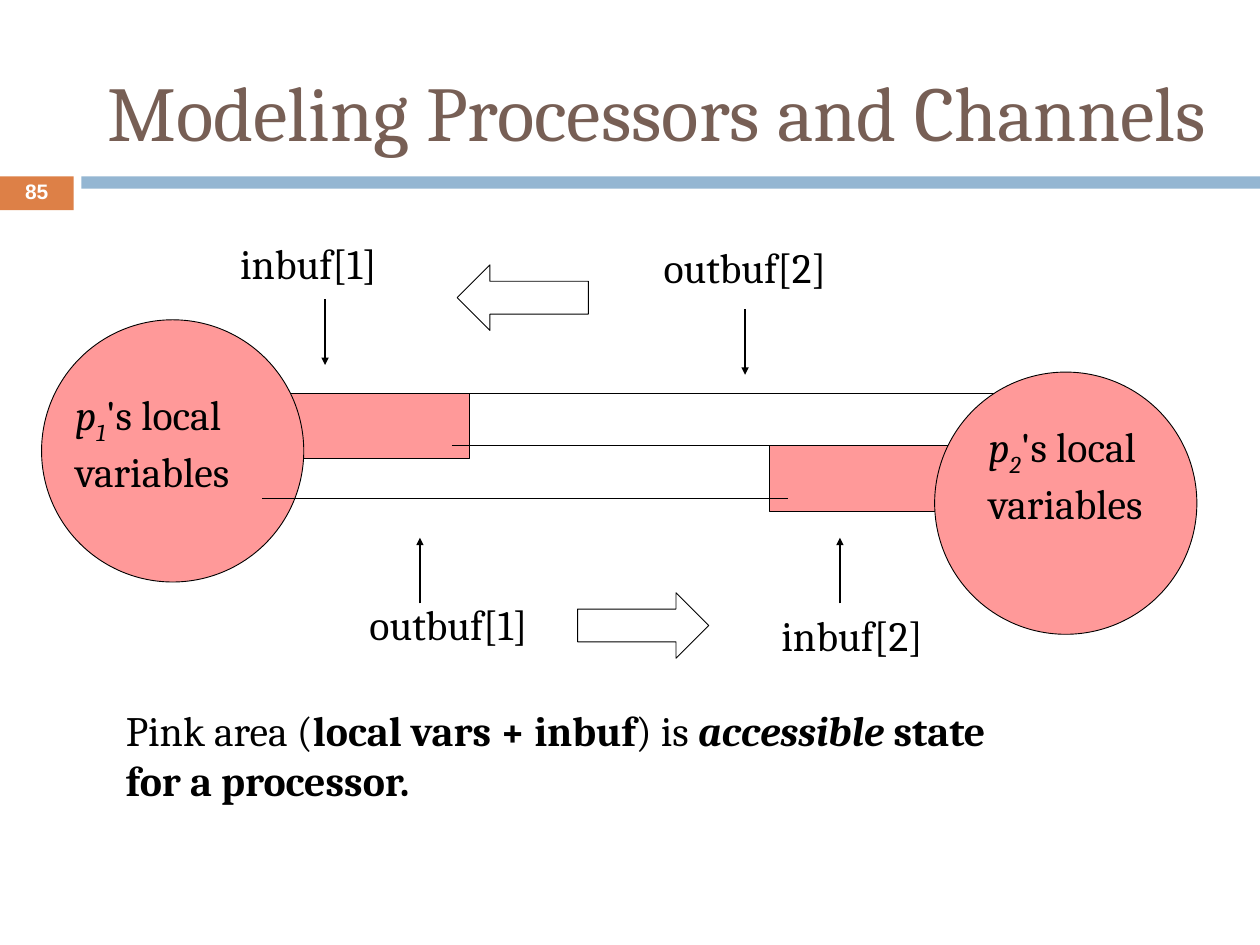
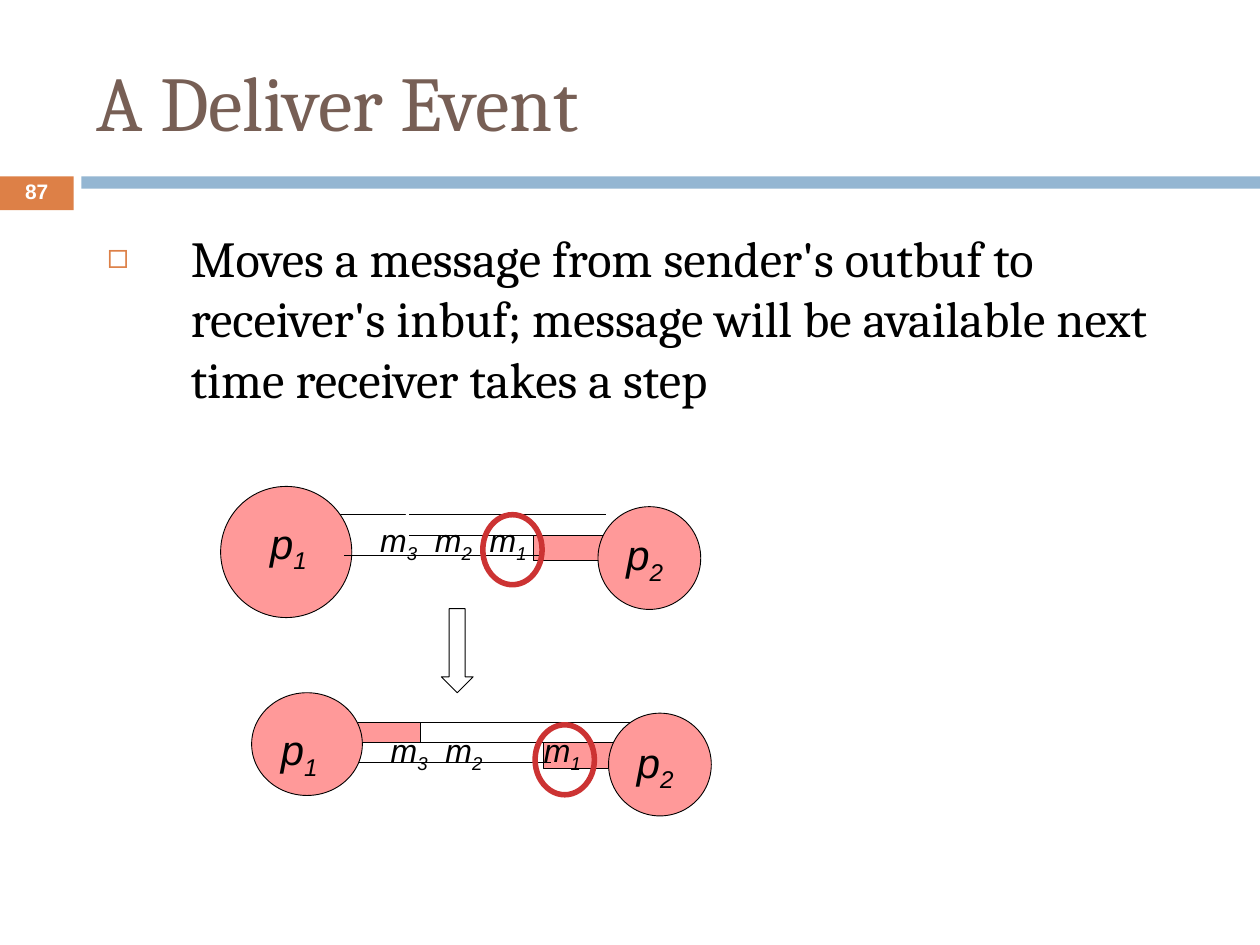
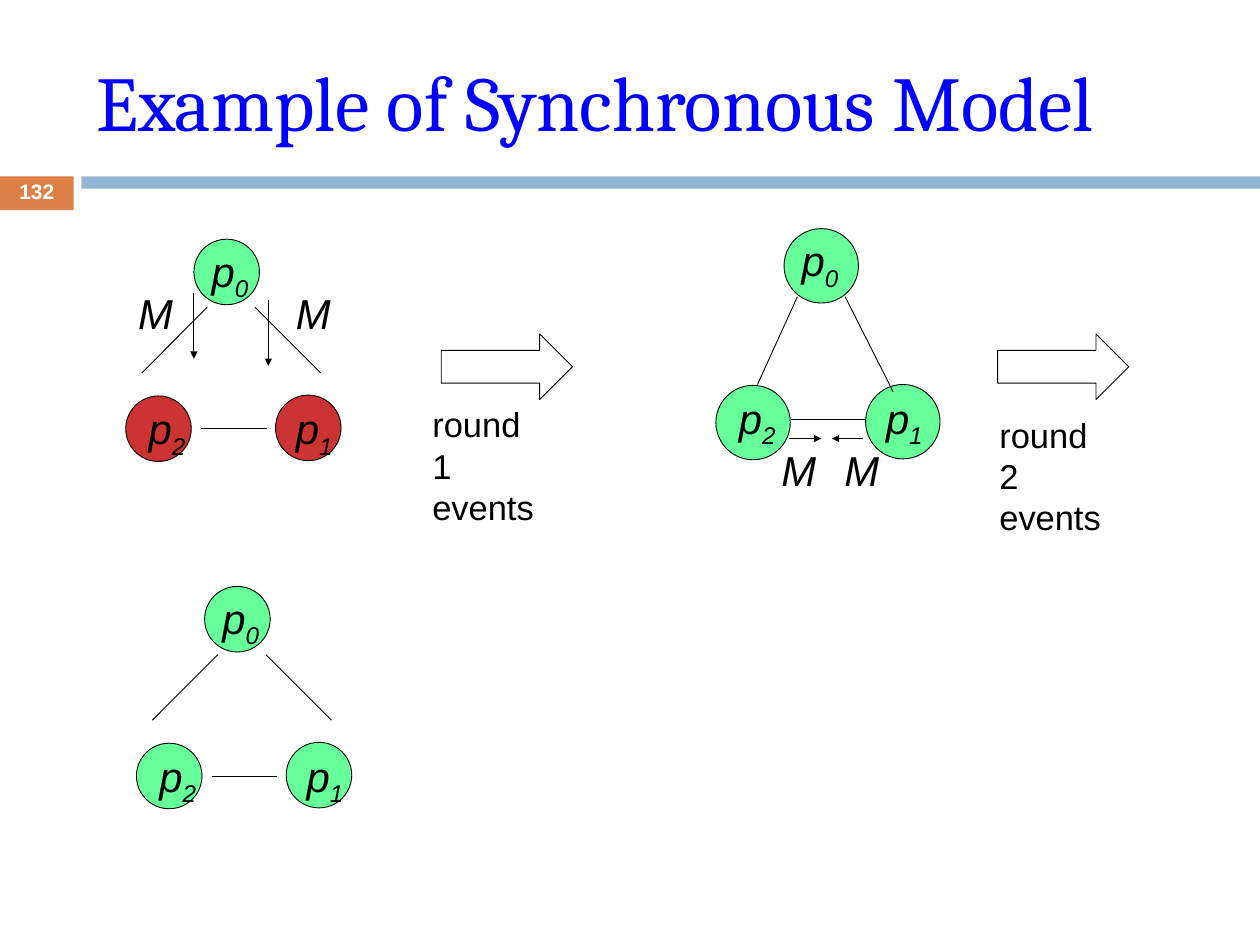
"""Builds three slides on message-passing models: channels, deliver events and rounds."""
from dataclasses import dataclass

from lxml.etree import SubElement
from pptx import Presentation
from pptx.dml.color import RGBColor
from pptx.enum.shapes import MSO_CONNECTOR, MSO_SHAPE
from pptx.enum.text import MSO_ANCHOR, MSO_AUTO_SIZE, PP_ALIGN
from pptx.oxml.ns import qn
from pptx.util import Pt


@dataclass(frozen=True)
class Theme:
    brown: str = "775F55"
    blue: str = "0000FF"
    orange: str = "DD8047"
    band: str = "94B6D2"
    pink: str = "FF9999"
    green: str = "66FF99"
    red: str = "CC3333"
    black: str = "000000"
    white: str = "FFFFFF"
    serif: str = "Cambria"
    sans: str = "Arial"
    title_size: float = 63
    body_size: float = 41
    label_size: float = 34
    round_size: float = 28
    message_size: float = 26
    number_size: float = 17
    thin: float = 0.75
    arrow: float = 2
    ring: float = 4.5


THEME = Theme()
SLIDE_SIZE = (1024, 768)
INSETS = (10.08, 5.04)
LABEL_SIZE = (53.3, 53.3)
BUFFER_LABEL_SIZE = (160, 53.3)
BLOCK_ARROW_SIZE = (106.6, 53.3)
RING_SIZE = (48.2, 56.9)
TITLE_BOX = (68.4, 25.9, 913, 110.9)
WIDE_TITLE_BOX = (77, 25.9, 921.6, 128.2)
LAYOUT_TITLE_AND_BODY, LAYOUT_TITLE_ONLY = 1, 5

PROCESSOR_CHANNEL = {
    "left_buffer": (221.8, 319.7, 159.8, 53.3),
    "left_processor": (33.8, 259.9, 213.1, 213.1),
    "upper_lines": [(367.2, 319.7, 846.7, 319.7), (367.2, 362.2, 846.7, 362.2)],
    "right_buffer": (625, 362.2, 159.8, 53.3),
    "right_processor": (759.6, 302.4, 213.1, 213.1),
    "lower_line": (640.1, 405.4, 213.1, 405.4),
}
BUFFER_LABELS = [
    ("inbuf[1]", (185, 187.9)),
    ("outbuf[1]", (290.2, 481.7)),
    ("inbuf[2]", (625, 490.3)),
    ("outbuf[2]", (529.2, 191.5)),
]
BUFFER_POINTERS = [
    (264.2, 243.4, 264.2, 296.6),
    (341.3, 490.3, 341.3, 437),
    (682.6, 490.3, 682.6, 437),
    (605.5, 251.3, 605.5, 304.6),
]
LOCAL_VARIABLES = [("1", (51.1, 311)), ("2", (793.4, 337))]
SUMMARY = [
    [("Pink area (", ""), ("local vars + inbuf", "b"), (") is ", ""),
     ("accessible", "bi"), (" state", "b")],
    [("for a processor.", "b")],
]

DELIVER_TEXT = ("Moves a message from sender's outbuf to receiver's inbuf; "
                "message will be available next time receiver takes a step")
DELIVER_STATES = [
    {
        "channel": {
            "left_buffer": (276.5, 418.3, 53.3, 0),
            "left_processor": (179.3, 395.3, 106.6, 106.6),
            "upper_lines": [(332.6, 418.3, 492.5, 418.3), (332.6, 434.9, 492.5, 434.9)],
            "right_buffer": (433.4, 434.9, 62.6, 20.9),
            "right_processor": (486, 411.8, 83.5, 83.5),
            "lower_line": (439.2, 451.4, 279.4, 451.4),
        },
        "names": [("1", (209.5, 415.4)), ("2", (499, 424.8))],
        "messages": (298.8, 418.3),
        "tabs": (44.5, 89),
        "ring": (392.4, 418.3),
    },
    {
        "channel": {
            "left_buffer": (285.1, 586.8, 56.9, 16.6),
            "left_processor": (204.5, 563, 90, 83.5),
            "upper_lines": [(341.3, 586.8, 524.9, 586.8), (341.3, 603.4, 524.9, 603.4)],
            "right_buffer": (442.1, 603.4, 62.6, 20.9),
            "right_processor": (494.6, 579.6, 83.5, 83.5),
            "lower_line": (447.8, 619.9, 291.6, 619.9),
        },
        "names": [("1", (218.2, 583.2)), ("2", (507.6, 593.3))],
        "messages": (307.4, 589),
        "tabs": (44.5, 124.5),
        "ring": (434.9, 589),
    },
]

NODES = [
    ("1", (121.7, 126.7), (6.5, 1.4)),
    ("0", (55.4, 0), (4.3, 0)),
    ("2", (0, 127.4), (8.6, 0.7)),
]
OPEN_EDGES = [(66.2, 55.4, 13, 108.7), (105.1, 55.4, 158.4, 108.7),
              (61.2, 154.1, 114.5, 154.1)]
JOINED_EDGES = [(66.2, 55.4, 33.8, 126.7), (105.1, 55.4, 144, 132.5),
                (61.2, 154.8, 121.7, 154.8)]
NETWORKS = [
    {"origin": (581.8, 185.8), "diameter": 60.5, "lower": THEME.green,
     "edges": JOINED_EDGES,
     "sends": [(59.8, 170.6, 85.7, 170.6), (119.5, 170.6, 94.3, 170.6)],
     "payloads": [(94.3, 170.6), (43.2, 170.6)]},
    {"origin": (102.2, 194.4), "diameter": 53.3, "lower": THEME.red,
     "edges": OPEN_EDGES,
     "sends": [(55.4, 43.9, 55.4, 97.2), (115.9, 49.7, 115.9, 103)],
     "payloads": [(0, 34.6), (128.2, 34.6)]},
    {"origin": (110.9, 476.6), "diameter": 53.3, "lower": THEME.green,
     "edges": OPEN_EDGES, "sends": [], "payloads": []},
]
ROUNDS = [("1", (358.6, 271.4), (341.3, 322.6)), ("2", (810.7, 271.4), (802.1, 331.2))]


def points(values):
    return [Pt(value) for value in values]


def shifted(origin, numbers):
    return tuple(number + origin[index % 2] for index, number in enumerate(numbers))


def add_figure(slide, kind, box, fill=None, line=None, weight=THEME.thin):
    shape = slide.shapes.add_shape(kind, *points(box))
    shape.shadow.inherit = False
    if fill:
        shape.fill.solid()
        shape.fill.fore_color.rgb = RGBColor.from_string(fill)
    else:
        shape.fill.background()
    if line:
        shape.line.color.rgb = RGBColor.from_string(line)
        shape.line.width = Pt(weight)
    else:
        shape.line.fill.background()
    return shape


def add_line(slide, ends, weight=THEME.thin, arrow=False):
    connector = slide.shapes.add_connector(MSO_CONNECTOR.STRAIGHT, *points(ends))
    connector.line.color.rgb = RGBColor.from_string(THEME.black)
    connector.line.width = Pt(weight)
    if arrow:
        SubElement(connector.line._get_or_add_ln(), qn("a:tailEnd"), type="triangle")
    SubElement(connector._element.spPr, qn("a:effectLst"))


def write_paragraphs(frame, paragraphs, size, face, color=THEME.black, tabs=()):
    frame.word_wrap = True
    frame.auto_size = MSO_AUTO_SIZE.NONE
    frame.margin_left = frame.margin_right = Pt(INSETS[0])
    frame.margin_top = frame.margin_bottom = Pt(INSETS[1])
    for index, runs in enumerate(paragraphs):
        para = frame.add_paragraph() if index else frame.paragraphs[0]
        para.alignment = PP_ALIGN.LEFT
        if tabs:
            tab_list = SubElement(para._p.get_or_add_pPr(), qn("a:tabLst"))
            for tab in tabs:
                SubElement(tab_list, qn("a:tab"), pos=str(int(Pt(tab))), algn="l")
        for text, style in runs:
            span = para.add_run()
            span.text = text
            span.font.name = face
            span.font.size = Pt(size)
            span.font.bold = "b" in style
            span.font.italic = "i" in style
            span.font.color.rgb = RGBColor.from_string(color)
            if "s" in style:
                span.font._element.set("baseline", "-25000")


def add_label(slide, place, extent, paragraphs, size=THEME.label_size,
              face=THEME.sans, tabs=()):
    box = slide.shapes.add_textbox(*points(place + extent))
    write_paragraphs(box.text_frame, paragraphs, size, face, tabs=tabs)


def indexed(letter, index):
    return [(letter, "i"), (index, "is")]


def add_page(deck, title, number, title_box=TITLE_BOX, color=THEME.brown,
             layout=LAYOUT_TITLE_ONLY):
    slide = deck.slides.add_slide(deck.slide_layouts[layout])
    add_figure(slide, MSO_SHAPE.RECTANGLE, (66.2, 143.3, 957.8, 10.1), THEME.band)
    badge = add_figure(slide, MSO_SHAPE.RECTANGLE, (0, 143.3, 59.8, 27.4), THEME.orange)
    write_paragraphs(badge.text_frame, [[(number, "b")]], THEME.number_size,
                     THEME.sans, THEME.white)
    badge.text_frame.vertical_anchor = MSO_ANCHOR.MIDDLE
    badge.text_frame.paragraphs[0].alignment = PP_ALIGN.CENTER
    badge.text_frame.paragraphs[0].line_spacing = 0.8
    heading = slide.shapes.title
    place_placeholder(heading, title_box)
    write_paragraphs(heading.text_frame, [[(title, "")]], THEME.title_size,
                     THEME.serif, color)
    heading.text_frame.vertical_anchor = MSO_ANCHOR.MIDDLE
    return slide


def place_placeholder(placeholder, box):
    placeholder.left, placeholder.top, placeholder.width, placeholder.height = points(box)


def add_channel(slide, channel):
    for side in ("left", "right"):
        for part, kind in (("buffer", MSO_SHAPE.RECTANGLE), ("processor", MSO_SHAPE.OVAL)):
            add_figure(slide, kind, channel[f"{side}_{part}"], THEME.pink, THEME.black)
        if side == "left":
            for ends in channel["upper_lines"]:
                add_line(slide, ends)
    add_line(slide, channel["lower_line"])


def add_block_arrow(slide, kind, place, extent=BLOCK_ARROW_SIZE):
    add_figure(slide, kind, place + extent, line=THEME.black)


def build_channels(deck):
    slide = add_page(deck, "Modeling Processors and Channels", "85", WIDE_TITLE_BOX)
    add_channel(slide, PROCESSOR_CHANNEL)
    for text, place in BUFFER_LABELS:
        add_label(slide, place, BUFFER_LABEL_SIZE, [[(text, "")]], face=THEME.serif)
    for index, place in LOCAL_VARIABLES:
        lines = [indexed("p", index) + [("'s local", "")], [("variables", "")]]
        add_label(slide, place, (160, 106.6), lines, face=THEME.serif)
    for ends in BUFFER_POINTERS:
        add_line(slide, ends, THEME.arrow, arrow=True)
    add_block_arrow(slide, MSO_SHAPE.LEFT_ARROW, (371.5, 215.3))
    add_block_arrow(slide, MSO_SHAPE.RIGHT_ARROW, (469.4, 481.7))
    add_label(slide, (92.2, 567.4), (829.4, 92.9), SUMMARY, face=THEME.serif)


def build_deliver_event(deck):
    slide = add_page(deck, "A Deliver Event", "87", layout=LAYOUT_TITLE_AND_BODY)
    body = slide.placeholders[1]
    place_placeholder(body, (77, 179.3, 870.5, 375.1))
    para = body.text_frame.paragraphs[0]
    para.space_before = Pt(0)
    properties = para._p.get_or_add_pPr()
    properties.set("marL", str(int(Pt(68))))
    properties.set("indent", str(int(Pt(-68))))
    bullet_color = SubElement(properties, qn("a:buClr"))
    SubElement(bullet_color, qn("a:srgbClr"), val=THEME.orange)
    SubElement(properties, qn("a:buSzPct"), val="70000")
    SubElement(properties, qn("a:buFont"), typeface=THEME.sans)
    SubElement(properties, qn("a:buChar"), char="◻")
    write_paragraphs(body.text_frame, [[(DELIVER_TEXT, "")]], THEME.body_size, THEME.serif)

    queue = indexed("m", "3") + indexed("\tm", "2") + indexed("\tm", "1")
    for state in DELIVER_STATES:
        add_channel(slide, state["channel"])
        for index, place in state["names"]:
            add_label(slide, place, LABEL_SIZE, [indexed("p", index)])
        add_label(slide, state["messages"], (190, 41.8), [queue],
                  THEME.message_size, tabs=state["tabs"])
        add_figure(slide, MSO_SHAPE.OVAL, state["ring"] + RING_SIZE,
                   line=THEME.red, weight=THEME.ring)
    add_block_arrow(slide, MSO_SHAPE.DOWN_ARROW, (358.6, 494.6), (25.9, 68.4))


def add_network(slide, network):
    origin, diameter = network["origin"], network["diameter"]
    for index, offset, label_offset in NODES:
        place = shifted(origin, offset)
        fill = THEME.green if index == "0" else network["lower"]
        add_figure(slide, MSO_SHAPE.OVAL, place + (diameter, diameter), fill, THEME.black)
        add_label(slide, shifted(place, label_offset), LABEL_SIZE, [indexed("p", index)])
    for ends in network["edges"]:
        add_line(slide, shifted(origin, ends))
    for ends in network["sends"]:
        add_line(slide, shifted(origin, ends), arrow=True)
    for offset in network["payloads"]:
        add_label(slide, shifted(origin, offset), LABEL_SIZE, [[("M", "i")]])


def build_synchronous_model(deck):
    slide = add_page(deck, "Example of Synchronous Model", "132", color=THEME.blue)
    for network in NETWORKS:
        add_network(slide, network)
    for number, arrow_place, label_place in ROUNDS:
        add_block_arrow(slide, MSO_SHAPE.RIGHT_ARROW, arrow_place)
        add_label(slide, label_place, (106.6, 106.6),
                  [[(f"round {number}", "")], [("events", "")]], THEME.round_size)


def main():
    deck = Presentation()
    deck.slide_width, deck.slide_height = points(SLIDE_SIZE)
    build_channels(deck)
    build_deliver_event(deck)
    build_synchronous_model(deck)
    deck.save("out.pptx")


if __name__ == "__main__":
    main()
